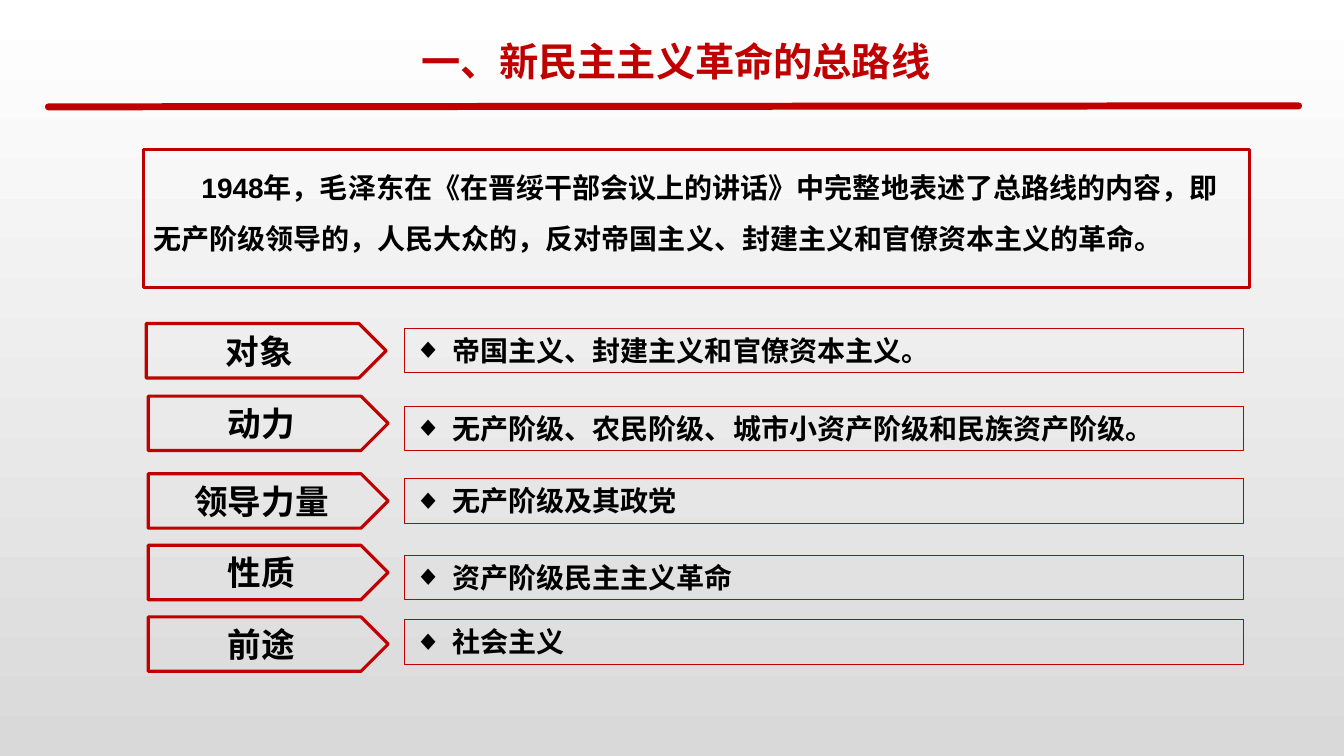
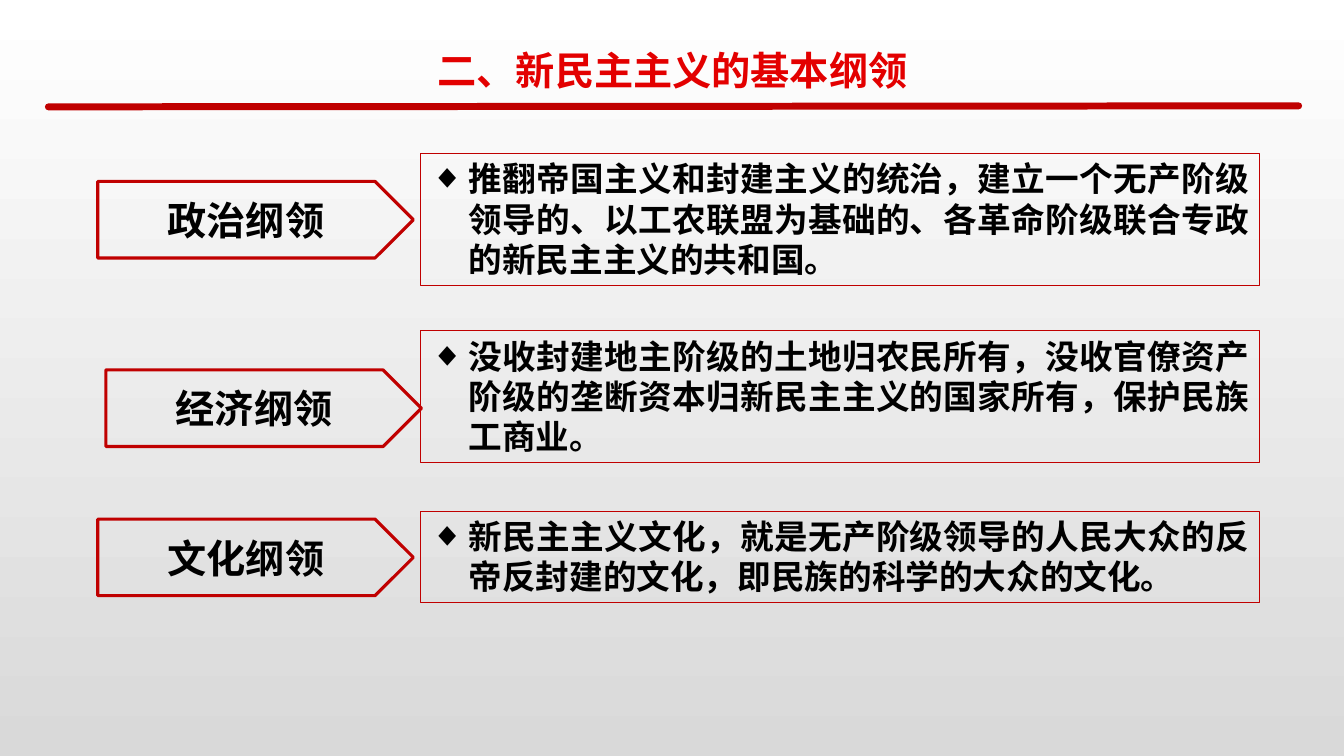
import lxml.etree
import pptx
import pptx.dml.color
import pptx.enum.shapes
import pptx.enum.text
import pptx.oxml.ns
import pptx.util

Inches = pptx.util.Inches
Pt = pptx.util.Pt
Align = pptx.enum.text.PP_ALIGN
Anchor = pptx.enum.text.MSO_ANCHOR
Shape = pptx.enum.shapes.MSO_SHAPE
qn = pptx.oxml.ns.qn

COLORS = {"red": "C00000", "bright": "E30000", "ink": "000000",
          "top": "FFFFFF", "base": "D9D9D9"}


def tint(name):
    return pptx.dml.color.RGBColor.from_string(COLORS[name])


def write(shape, text, size=20, color="ink", face="Noto Sans CJK SC",
          align=Align.LEFT, anchor=Anchor.TOP, space=None, left=0, first=0,
          mark=None):
    frame = shape.text_frame
    frame.word_wrap = True
    frame.vertical_anchor = anchor
    para = frame.paragraphs[0]
    para.alignment = align
    if space:
        para.line_spacing = space
    props = para._p.get_or_add_pPr()
    props.set("marL", str(Inches(left)))
    props.set("indent", str(Inches(first)))
    if mark:
        lxml.etree.SubElement(props, qn("a:buFont"), typeface="Arial")
        lxml.etree.SubElement(props, qn("a:buChar"), char=mark)
    run = para.add_run()
    run.text = text
    font = run.font
    font.size = Pt(size)
    font.bold = True
    font.color.rgb = tint(color)
    font.name = face
    lxml.etree.SubElement(run._r.get_or_add_rPr(), qn("a:ea"),
                          typeface="Noto Sans CJK SC")


class Deck:
    """Hold the shared style and the current slide."""

    def __init__(self):
        self.show = pptx.Presentation()
        self.show.slide_width = Inches(13.33)
        self.show.slide_height = Inches(7.5)
        fill = self.show.slide_master.background.fill
        fill.gradient()
        fill.gradient_angle = 270
        for stop, name in zip(fill.gradient_stops, ("top", "base")):
            stop.color.rgb = tint(name)

    def start(self, title, place, **style):
        self.slide = self.show.slides.add_slide(self.show.slide_layouts[6])
        self.rule()
        box = self.slide.shapes.add_textbox(*map(Inches, place))
        write(box, title, size=28, **style)

    def rule(self):
        line = self.slide.shapes.add_connector(
            pptx.enum.shapes.MSO_CONNECTOR.STRAIGHT,
            *map(Inches, (0.48, 1.06, 12.88, 1.05)))
        line.line.color.rgb = tint("red")
        line.line.width = Pt(5)
        line.line._get_or_add_ln().set("cap", "rnd")
        lxml.etree.SubElement(line._element.spPr, qn("a:effectLst"))

    def frame(self, kind, place, width):
        shape = self.slide.shapes.add_shape(kind, *map(Inches, place))
        shape.shadow.inherit = False
        shape.fill.background()
        shape.line.color.rgb = tint("red")
        shape.line.width = Pt(width)
        return shape

    def quote(self, text, place):
        box = self.frame(Shape.RECTANGLE, place, 2.25)
        write(box, text, face="Arial", space=1.5, first=0.48)

    def point(self, text, place, size):
        box = self.frame(Shape.RECTANGLE, place, 0.75)
        write(box, text, size=size, align=Align.JUSTIFY,
              left=0.38, first=-0.38, mark="◆")

    def label(self, text, place, size):
        tag = self.frame(Shape.PENTAGON, place, 2.25)
        write(tag, text, size=size, align=Align.CENTER, anchor=Anchor.MIDDLE)


def main():
    deck = Deck()

    deck.start("一、新民主主义革命的总路线", (4.08, 0.32, 5.37, 0.57),
               color="red")
    deck.quote("1948年，毛泽东在《在晋绥干部会议上的讲话》中完整地表述了总路线的内容，"
               "即无产阶级领导的，人民大众的，反对帝国主义、封建主义和官僚资本主义的革命。",
               (1.42, 1.48, 10.97, 1.37))
    lines = [
        ("对象", 1.45, 3.21, "帝国主义、封建主义和官僚资本主义。", 3.26),
        ("动力", 1.47, 3.93,
         "无产阶级、农民阶级、城市小资产阶级和民族资产阶级。", 4.03),
        ("领导力量", 1.47, 4.7, "无产阶级及其政党", 4.75),
        ("性质", 1.47, 5.41, "资产阶级民主主义革命", 5.51),
        ("前途", 1.47, 6.12, "社会主义", 6.15),
    ]
    for name, left, top, text, level in lines:
        deck.point(text, (4.01, level, 8.32, 0.44), 20)
        deck.label(name, (left, top, 2.38, 0.54), 24)

    deck.start("二、新民主主义的基本纲领", (3.45, 0.18, 6.44, 0.81),
               color="bright", align=Align.CENTER, space=1.5)
    plans = [
        ("政治纲领", 0.97, 1.8,
         "推翻帝国主义和封建主义的统治，建立一个无产阶级领导的、"
         "以工农联盟为基础的、各革命阶级联合专政的新民主主义的共和国。", 1.52, 1.31),
        ("经济纲领", 1.05, 3.67,
         "没收封建地主阶级的土地归农民所有，没收官僚资产阶级的垄断资本"
         "归新民主主义的国家所有，保护民族工商业。", 3.28, 1.31),
        ("文化纲领", 0.97, 5.15,
         "新民主主义文化，就是无产阶级领导的人民大众的反帝反封建的文化，"
         "即民族的科学的大众的文化。", 5.07, 0.91),
    ]
    for name, left, top, text, level, height in plans:
        deck.point(text, (4.17, level, 8.32, height), 24)
        deck.label(name, (left, top, 3.13, 0.76), 28)

    deck.show.save("out.pptx")


if __name__ == "__main__":
    main()
